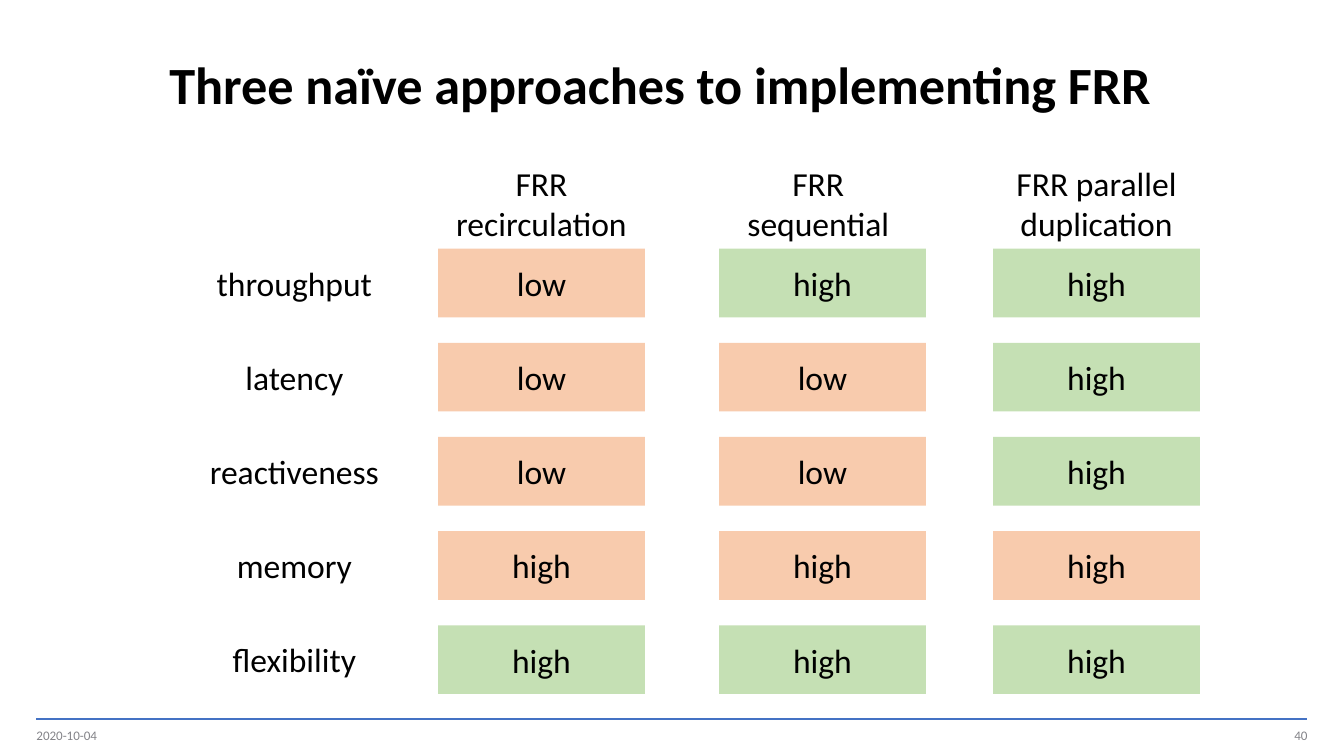
"""Build the slide that rates three FRR approaches on five criteria."""
from dataclasses import dataclass

from lxml import etree
from pptx import Presentation
from pptx import util as u
from pptx.dml.color import RGBColor
from pptx.enum import shapes, text
from pptx.oxml.ns import qn

COLOURS = {
    "ink": "000000",
    "footer": "848489",
    "rule": "4472C4",
    "good": "C5E0B4",
    "bad": "F8CBAD",
}
LEFT, CENTRE, RIGHT = text.PP_ALIGN.LEFT, text.PP_ALIGN.CENTER, text.PP_ALIGN.RIGHT
TOP, MIDDLE = text.MSO_ANCHOR.TOP, text.MSO_ANCHOR.MIDDLE

CELL_WIDTH, CELL_HEIGHT = 3.91, 1.3
FIRST_ROW, ROW_PITCH = 4.7, 1.78
LABEL_LEFT, LABEL_HEIGHT = 3.61, 1.02
HEADING_TOP, HEADING_HEIGHT = 2.95, 1.8
FOOTER_TOP, FOOTER_WIDTH, FOOTER_HEIGHT = 13.74, 5.72, 0.33
MARGIN_LEFT, MARGIN_RIGHT, RULE_TOP = 0.69, 24.71, 13.59


@dataclass(frozen=True)
class Box:
    left: float
    top: float
    width: float
    height: float

    def lengths(self) -> list:
        return [u.Cm(side) for side in (self.left, self.top, self.width, self.height)]


@dataclass(frozen=True)
class Style:
    size: int = 18
    colour: str = "ink"
    bold: bool = False
    align: int = CENTRE
    anchor: int = TOP
    inset: bool = True


@dataclass(frozen=True)
class Approach:
    name: str
    left: float
    heading_left: float


@dataclass(frozen=True)
class Criterion:
    name: str
    ratings: tuple
    high_is_good: bool = True


APPROACHES = (
    Approach("FRR recirculation", 8.28, 8.28),
    Approach("FRR sequential", 13.59, 13.51),
    Approach("FRR parallel duplication", 18.77, 18.77),
)
CRITERIA = (
    Criterion("throughput", ("low", "high", "high")),
    Criterion("latency", ("low", "low", "high")),
    Criterion("reactiveness", ("low", "low", "high")),
    Criterion("memory", ("high", "high", "high"), high_is_good=False),
    Criterion("flexibility", ("high", "high", "high")),
)


def rgb(name: str) -> RGBColor:
    return RGBColor.from_string(COLOURS[name])


def write(shape, words: str, style: Style) -> None:
    frame = shape.text_frame
    frame.text = words
    layout = {"word_wrap": True, "vertical_anchor": style.anchor}
    if not style.inset:
        sides = ("left", "top", "right", "bottom")
        layout.update({f"margin_{side}": 0 for side in sides})
    for name, value in layout.items():
        setattr(frame, name, value)
    paragraph = frame.paragraphs[0]
    paragraph.alignment = style.align
    font = paragraph.runs[0].font
    look = {"name": "Calibri", "size": u.Pt(style.size), "bold": style.bold}
    for name, value in look.items():
        setattr(font, name, value)
    font.color.rgb = rgb(style.colour)


def add_words(slide, box: Box, words: str, style: Style):
    words_box = slide.shapes.add_textbox(*box.lengths())
    write(words_box, words, style)
    return words_box


def add_rating(slide, box: Box, rating: str, fill: str) -> None:
    cell = slide.shapes.add_shape(shapes.MSO_SHAPE.RECTANGLE, *box.lengths())
    cell.shadow.inherit = False
    cell.fill.solid()
    cell.fill.fore_color.rgb = rgb(fill)
    cell.line.fill.background()
    write(cell, rating, Style(anchor=MIDDLE))


def add_footer(slide) -> None:
    ends = [u.Cm(n) for n in (MARGIN_LEFT, RULE_TOP, MARGIN_RIGHT, RULE_TOP)]
    rule = slide.shapes.add_connector(shapes.MSO_CONNECTOR.STRAIGHT, *ends)
    rule.line.color.rgb = rgb("rule")
    rule.line.width = u.Pt(1)
    etree.SubElement(rule._element.spPr, qn("a:effectLst"))
    entries = (
        ("2020-10-04", MARGIN_LEFT, LEFT),
        ("40", MARGIN_RIGHT - FOOTER_WIDTH, RIGHT),
    )
    for words, left, align in entries:
        box = Box(left, FOOTER_TOP, FOOTER_WIDTH, FOOTER_HEIGHT)
        style = Style(7, "footer", align=align, anchor=MIDDLE, inset=False)
        add_words(slide, box, words, style)


def add_ratings(slide) -> None:
    for approach in APPROACHES:
        box = Box(approach.heading_left, HEADING_TOP, CELL_WIDTH, HEADING_HEIGHT)
        add_words(slide, box, approach.name, Style())
    for row, criterion in enumerate(CRITERIA):
        top = FIRST_ROW + row * ROW_PITCH
        label_top = top + (CELL_HEIGHT - LABEL_HEIGHT) / 2
        label_box = Box(LABEL_LEFT, label_top, CELL_WIDTH, LABEL_HEIGHT)
        add_words(slide, label_box, criterion.name, Style())
        for approach, rating in zip(APPROACHES, criterion.ratings):
            is_good = (rating == "high") == criterion.high_is_good
            box = Box(approach.left, top, CELL_WIDTH, CELL_HEIGHT)
            add_rating(slide, box, rating, "good" if is_good else "bad")


def main() -> None:
    deck = Presentation()
    deck.slide_width, deck.slide_height = u.Cm(25.4), u.Cm(14.29)
    slide = deck.slides.add_slide(deck.slide_layouts[6])
    add_footer(slide)
    title = add_words(
        slide,
        Box(2.95, 0.71, 20.98, 1.88),
        "Three naïve approaches to implementing FRR",
        Style(28, bold=True, align=LEFT, anchor=MIDDLE),
    )
    title.text_frame.paragraphs[0].line_spacing = u.Pt(30)
    add_ratings(slide)
    deck.save("out.pptx")


if __name__ == "__main__":
    main()
